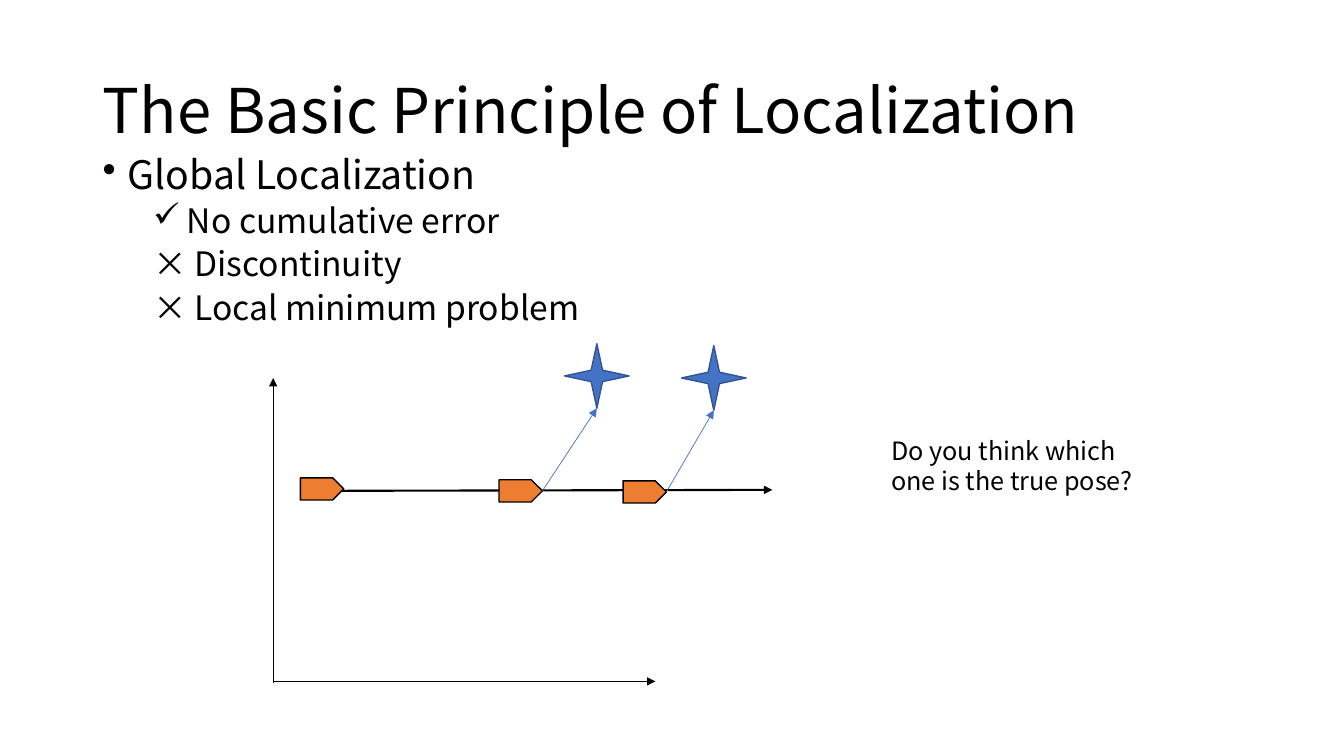
from lxml.etree import SubElement
from pptx import Presentation
from pptx.dml.color import RGBColor
from pptx.enum.shapes import MSO_CONNECTOR, MSO_SHAPE
from pptx.enum.text import MSO_ANCHOR, MSO_AUTO_SIZE, PP_ALIGN
from pptx.oxml.ns import qn
from pptx.util import Inches, Pt

FONT = "Noto Sans CJK SC"
BLACK, BLUE, NAVY, ORANGE = "000000", "4472C4", "325491", "ED7D31"
WIDE, HIGH = 13.33, 7.5
LEFT, SPAN = 0.92, 11.5

TITLE = "The Basic Principle of Localization"
POINTS = [
    ("Global Localization", 0, 28, 0.25, -0.25, "•"),
    (" No cumulative error", 1, 24, 0.75, -0.25, "✓"),
    ("× Discontinuity", 1, 24, 0.5, 0, None),
    ("× Local minimum problem", 1, 24, 0.5, 0, None),
]
QUERY = "Do you think which one is the true pose?"

PATH = ((3.17, 4.87), (7.66, 4.86))
AXES = [((2.72, 6.76), (6.5, 6.76)), ((2.71, 6.78), (2.71, 3.75))]
STAR, ROBOT = (0.64, 0.64), (0.43, 0.22)
START = (2.98, 4.74)
SIGHTS = [((4.95, 4.76), (5.6, 3.41)), ((6.18, 4.77), (6.76, 3.43))]


def color(code):
    return RGBColor.from_string(code)


def style(para, size):
    para.font.name = FONT
    para.font.size = Pt(size)
    para.font.color.rgb = color(BLACK)


def box(*area):
    frame = slide.shapes.add_textbox(*map(Inches, area)).text_frame
    frame.word_wrap = True
    return frame


def arrow(start, end, code, width):
    line = slide.shapes.add_connector(
        MSO_CONNECTOR.STRAIGHT, *map(Inches, (*start, *end)))
    line.line.color.rgb = color(code)
    line.line.width = Pt(width)
    SubElement(line.line._get_or_add_ln(), qn("a:tailEnd"), type="triangle")
    SubElement(line._element.spPr, qn("a:effectLst"))
    return line


def mark(kind, spot, size, fill, edge):
    shape = slide.shapes.add_shape(kind, *map(Inches, (*spot, *size)))
    shape.shadow.inherit = False
    shape.fill.solid()
    shape.fill.fore_color.rgb = color(fill)
    shape.line.color.rgb = color(edge)
    shape.line.width = Pt(1)
    return shape


def robot(spot):
    return mark(MSO_SHAPE.PENTAGON, spot, ROBOT, ORANGE, BLACK)


def head():
    title = slide.shapes.title
    title.left, title.top, title.width, title.height = map(
        Inches, (LEFT, 0.4, SPAN, 1.45))
    frame = title.text_frame
    frame.text = TITLE
    frame.word_wrap = True
    frame.auto_size = MSO_AUTO_SIZE.NONE
    frame.vertical_anchor = MSO_ANCHOR.MIDDLE
    para = frame.paragraphs[0]
    para.alignment = PP_ALIGN.LEFT
    para.line_spacing = 0.9
    style(para, 44)


def points():
    frame = box(LEFT, 1.49, SPAN, 4.76)
    for row, (text, level, size, margin, indent, bullet) in enumerate(POINTS):
        para = frame.add_paragraph() if row else frame.paragraphs[0]
        para.text = text
        para.level = level
        para.line_spacing = 0.9
        para.space_before = Pt(5 if row else 0)
        props = para._p.get_or_add_pPr()
        props.set("marL", str(Inches(margin)))
        props.set("indent", str(Inches(indent)))
        if bullet:
            SubElement(props, qn("a:buChar"), char=bullet)
        else:
            SubElement(props, qn("a:buNone"))
        style(para, size)


def plot():
    for start, end in AXES:
        arrow(start, end, BLACK, 0.5)
    robot(START)
    for spot, goal in SIGHTS:
        star = mark(MSO_SHAPE.STAR_4_POINT, goal, STAR, BLUE, NAVY)
        pose = robot(spot)
        ray = arrow(spot, goal, BLUE, 0.5)
        ray.begin_connect(pose, 3)
        ray.end_connect(star, 2)


def query():
    frame = box(8.74, 4.27, 2.85, 0.71)
    frame.text = QUERY
    style(frame.paragraphs[0], 18)


deck = Presentation()
deck.slide_width, deck.slide_height = Inches(WIDE), Inches(HIGH)
slide = deck.slides.add_slide(deck.slide_layouts[5])
arrow(*PATH, BLACK, 1.5)
head()
points()
plot()
query()
deck.save("out.pptx")
